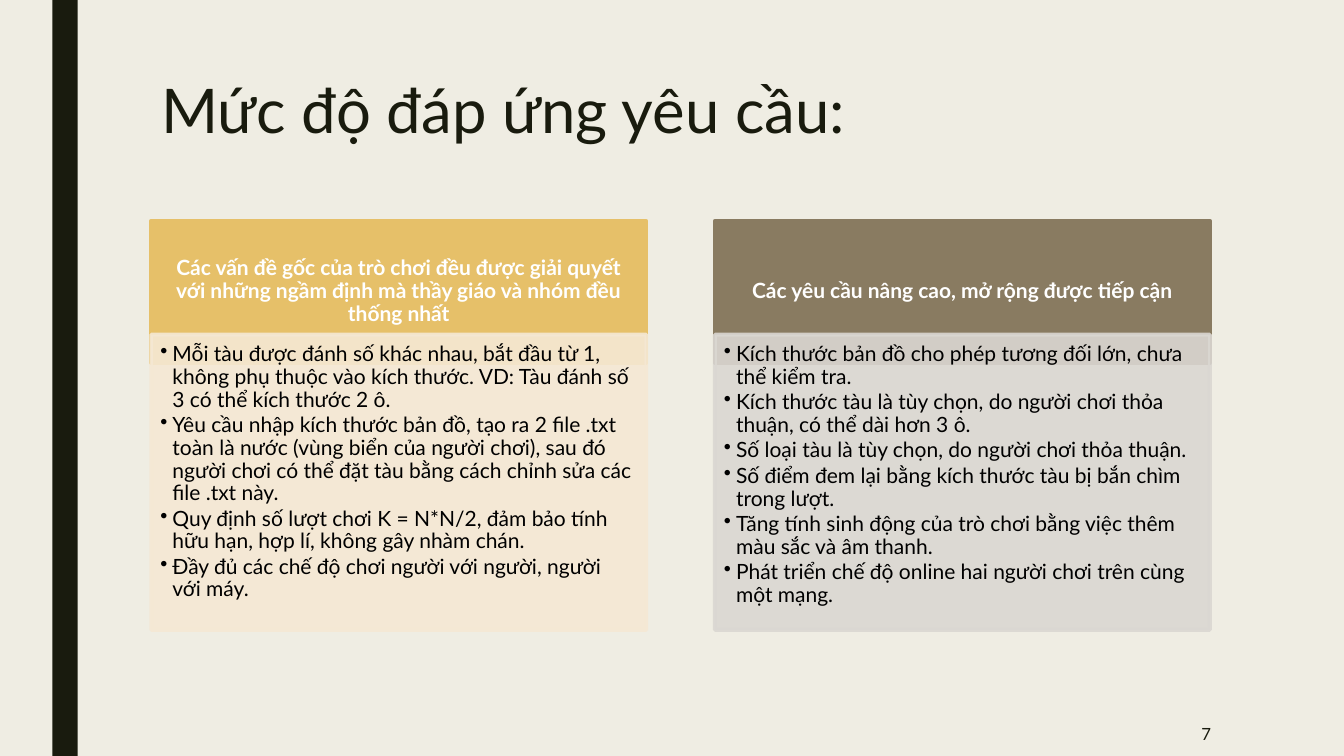
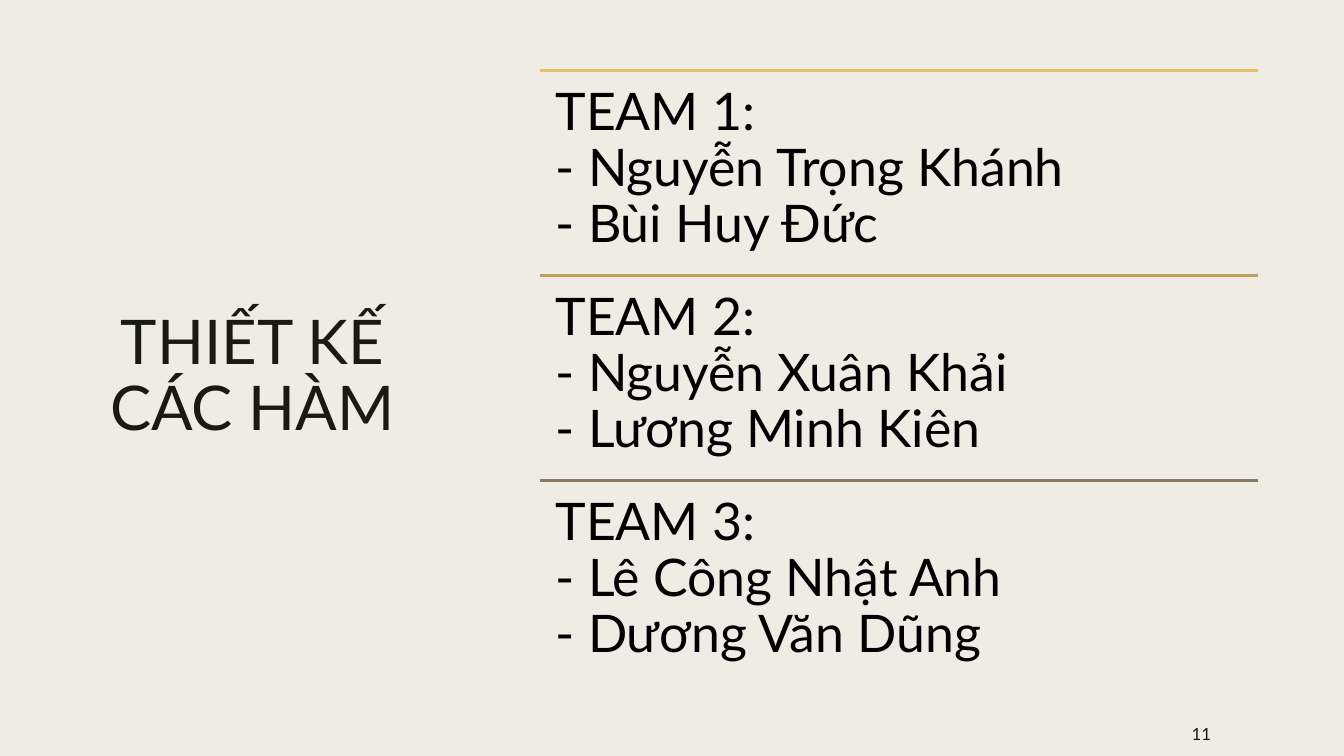
import pptx
import pptx.util
import pptx.dml.color
import pptx.enum.shapes
import pptx.enum.text
import pptx.oxml.ns
from lxml import etree
from dataclasses import dataclass

Inches, Pt = pptx.util.Inches, pptx.util.Pt
Align, Anchor = pptx.enum.text.PP_ALIGN, pptx.enum.text.MSO_ANCHOR
RECT = pptx.enum.shapes.MSO_SHAPE.RECTANGLE
LINE = pptx.enum.shapes.MSO_CONNECTOR.STRAIGHT
qn = pptx.oxml.ns.qn


@dataclass(frozen=True)
class Theme:
    font: str = "Lato"
    paper: str = "EFEDE3"
    ink: str = "191B0E"
    white: str = "FFFFFF"
    black: str = "000000"
    gold: str = "E6C069"
    ochre: str = "C0A05C"
    brown: str = "897B61"
    cream: str = "F5E8D4"
    stone: str = "DAD7D2"
    title: int = 44
    team: int = 37
    body: int = 15
    page: int = 12
    rule: float = 2.75


T = Theme()

# Content
GOALS = {
    "title": "Mức độ đáp ứng yêu cầu:",
    "page": "7",
    "cards": [
        ("Các vấn đề gốc của trò chơi đều được giải quyết với những ngầm "
         "định mà thầy giáo và nhóm đều thống nhất",
         T.gold, T.cream,
         ["Mỗi tàu được đánh số khác nhau, bắt đầu từ 1, không phụ thuộc vào "
          "kích thước. VD: Tàu đánh số 3 có thể kích thước 2 ô.",
          "Yêu cầu nhập kích thước bản đồ, tạo ra 2 file .txt toàn là nước "
          "(vùng biển của người chơi), sau đó người chơi có thể đặt tàu bằng "
          "cách chỉnh sửa các file .txt này.",
          "Quy định số lượt chơi K = N*N/2, đảm bảo tính hữu hạn, hợp lí, "
          "không gây nhàm chán.",
          "Đầy đủ các chế độ chơi người với người, người với máy."]),
        ("Các yêu cầu nâng cao, mở rộng được tiếp cận",
         T.brown, T.stone,
         ["Kích thước bản đồ cho phép tương đối lớn, chưa thể kiểm tra.",
          "Kích thước tàu là tùy chọn, do người chơi thỏa thuận, có thể dài "
          "hơn 3 ô.",
          "Số loại tàu là tùy chọn, do người chơi thỏa thuận.",
          "Số điểm đem lại bằng kích thước tàu bị bắn chìm trong lượt.",
          "Tăng tính sinh động của trò chơi bằng việc thêm màu sắc và âm "
          "thanh.",
          "Phát triển chế độ online hai người chơi trên cùng một mạng."]),
    ],
}
TEAMS = {
    "title": "THIẾT KẾ CÁC HÀM",
    "page": "11",
    "rows": [
        (T.gold, ["TEAM 1:", "- Nguyễn Trọng Khánh", "- Bùi Huy Đức"]),
        (T.ochre, ["TEAM 2:", "- Nguyễn Xuân Khải", "- Lương Minh Kiên"]),
        (T.brown, ["TEAM 3:", "- Lê Công Nhật Anh", "- Dương Văn Dũng"]),
    ],
}


# Drawing helpers
def rgb(code):
    return pptx.dml.color.RGBColor.from_string(code)


def write(shape, text, size, color=T.ink, bold=False, align=Align.LEFT,
          anchor=Anchor.TOP, pad=(0.1, 0.05, 0.1, 0.05), lead=0.9, after=0,
          bullet=None):
    """Fill a shape with one string or a list of paragraphs."""
    frame = shape.text_frame
    frame.word_wrap = True
    frame.vertical_anchor = anchor
    (frame.margin_left, frame.margin_top,
     frame.margin_right, frame.margin_bottom) = map(Inches, pad)
    frame.text = text if isinstance(text, str) else "\n".join(text)
    for para in frame.paragraphs:
        para.alignment = align
        para.line_spacing = lead
        para.space_before, para.space_after = Pt(0), Pt(after)
        font = para.runs[0].font
        font.name, font.size, font.bold = T.font, Pt(size), bold
        font.color.rgb = rgb(color)
        if bullet:
            props = para._p.get_or_add_pPr()
            props.set("marL", str(Inches(0.12)))
            props.set("indent", str(Inches(-0.12)))
            etree.SubElement(props, qn("a:buChar"), char=bullet)


def label(slide, box, text, size, **look):
    write(slide.shapes.add_textbox(*map(Inches, box)), text, size, **look)


def block(slide, box, color, edge=True, alpha=None):
    shape = slide.shapes.add_shape(RECT, *map(Inches, box))
    shape.shadow.inherit = False
    fills = [shape.fill]
    if edge:
        shape.line.width = Pt(T.rule)
        fills.append(shape.line.fill)
    else:
        shape.line.fill.background()
    for fill in fills:
        fill.solid()
        fill.fore_color.rgb = rgb(color)
    if alpha:
        for tint in shape._element.spPr.iter(qn("a:srgbClr")):
            etree.SubElement(tint, qn("a:alpha"), val=str(alpha * 1000))
    return shape


def rule(slide, left, top, width, color):
    line = slide.shapes.add_connector(
        LINE, *map(Inches, (left, top, left + width, top)))
    line.line.width = Pt(T.rule)
    line.line.color.rgb = rgb(color)
    etree.SubElement(line._element.spPr, qn("a:effectLst"))


def start(deck, data, box, **look):
    """Add a slide with its title and page number."""
    slide = deck.slides.add_slide(deck.slide_layouts[6])
    label(slide, box, data["title"], T.title, lead=0.89, **look)
    label(slide, (10.36, 7.06, 1.75, 0.44), data["page"], T.page,
          align=Align.RIGHT, anchor=Anchor.MIDDLE, lead=1)
    return slide


# Slides
def goals(deck):
    slide = start(deck, GOALS, (1.5, 0.75, 10.5, 1.62))
    block(slide, (0.52, 0, 0.25, 7.5), T.ink, edge=False)
    left, width, step = 1.5, 4.91, 5.59
    for i, (head, dark, pale, items) in enumerate(GOALS["cards"]):
        x = left + i * step
        write(block(slide, (x, 2.19, width, 1.41), dark), head, T.body,
              color=T.white, bold=True, align=Align.CENTER,
              anchor=Anchor.MIDDLE, pad=(0.12, 0.07, 0.12, 0.07))
        write(block(slide, (x, 3.32, width, 2.93), pale, alpha=90), items,
              T.body, color=T.black, pad=(0.09, 0.09, 0.12, 0.13),
              after=1.9, bullet="•")


def teams(deck):
    top, high = 0.7, 6.1
    slide = start(deck, TEAMS, (0.7, top, 3.61, high),
                  align=Align.CENTER, anchor=Anchor.MIDDLE)
    left, width = 5.36, 7.12
    step = high / len(TEAMS["rows"])
    for i, (color, lines) in enumerate(TEAMS["rows"]):
        y = top + i * step
        rule(slide, left, y, width, color)
        label(slide, (left, y, width, step), lines, T.team,
              color=T.black, pad=(0.15,) * 4)


def main():
    deck = pptx.Presentation()
    deck.slide_width, deck.slide_height = Inches(13.33), Inches(7.5)
    paper = deck.slide_master.background.fill
    paper.solid()
    paper.fore_color.rgb = rgb(T.paper)
    goals(deck)
    teams(deck)
    deck.save("out.pptx")


if __name__ == "__main__":
    main()
